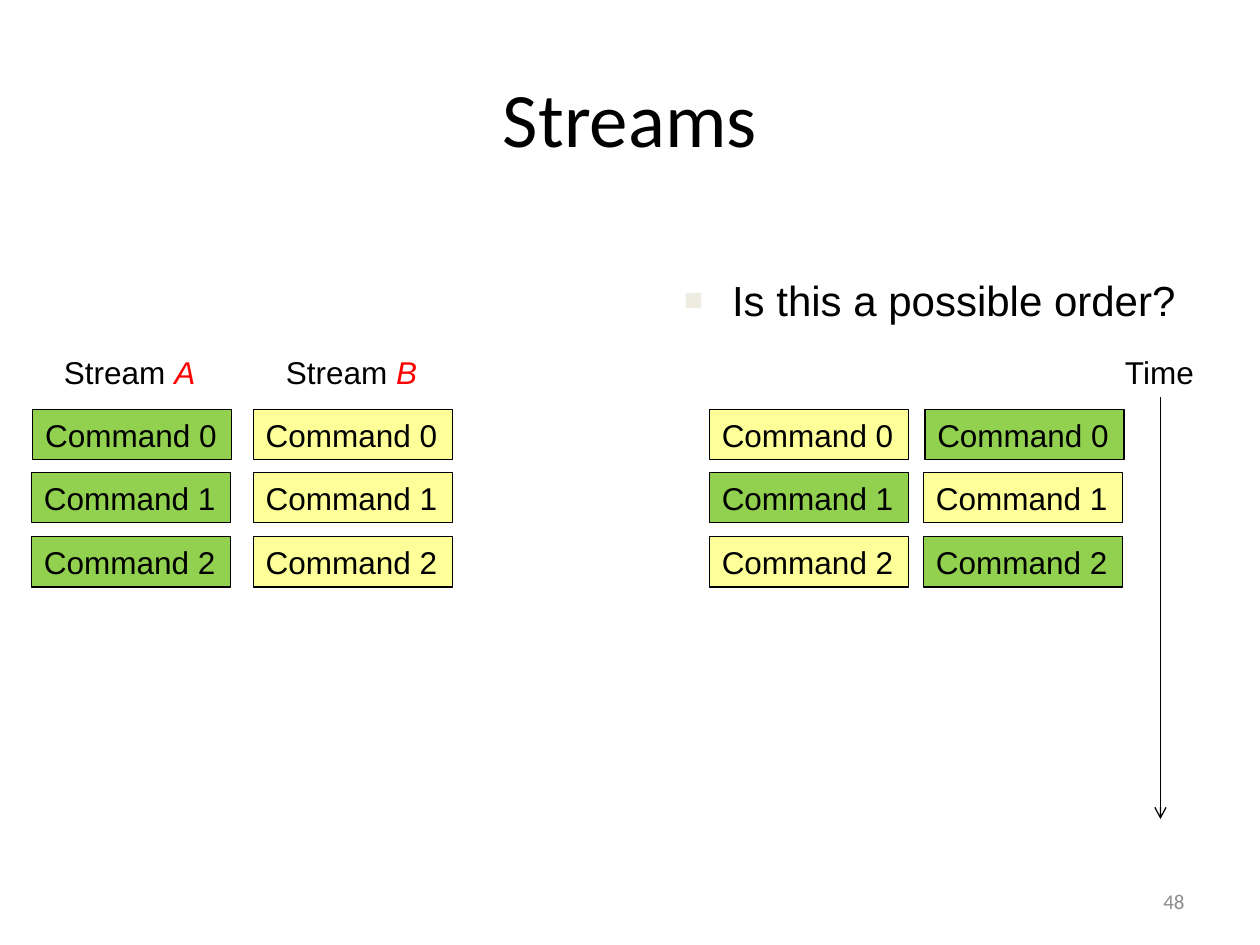
from lxml import etree
from pptx import Presentation
from pptx.dml.color import RGBColor
from pptx.enum.shapes import MSO_CONNECTOR, MSO_SHAPE
from pptx.enum.text import MSO_ANCHOR, PP_ALIGN
from pptx.oxml import parse_xml
from pptx.oxml.ns import nsdecls, qn
from pptx.util import Inches, Pt

BLACK = RGBColor(0x00, 0x00, 0x00)
RED = RGBColor(0xFF, 0x00, 0x00)
GRAY = RGBColor(0x8C, 0x8C, 0x8C)
GREEN = RGBColor(0x92, 0xD0, 0x50)
YELLOW = RGBColor(0xFF, 0xFF, 0x99)

ROW_TOPS = [3.25, 3.75, 4.26]
BOX_WIDTH, BOX_HEIGHT = 1.58, 0.4


def place(shape, left, top, width, height):
    shape.left, shape.top = Inches(left), Inches(top)
    shape.width, shape.height = Inches(width), Inches(height)


def format_run(run, size=18, name="Arial", color=BLACK):
    run.font.size = Pt(size)
    run.font.name = name
    run.font.color.rgb = color


presentation = Presentation()
presentation.slide_width = Inches(10)
presentation.slide_height = Inches(7.5)
slide = presentation.slides.add_slide(presentation.slide_layouts[1])

# Title and question
title = slide.shapes.title
place(title, 0.5, 0.3, 9, 1.25)
title.text_frame.text = "Streams"
format_run(title.text_frame.paragraphs[0].runs[0], 44, "Calibri")

question = slide.placeholders[1]
place(question, 5.33, 2.13, 4.17, 0.62)
question.text_frame.text = "Is this a possible order?"
paragraph = question.text_frame.paragraphs[0]
format_run(paragraph.runs[0], 24)
properties = paragraph._p.get_or_add_pPr()
properties.set("marL", str(Inches(0.38)))
properties.set("indent", str(Inches(-0.38)))
for bullet_xml in (
    '<a:buClr {}><a:srgbClr val="EEECE1"/></a:buClr>',
    '<a:buSzPct {} val="75000"/>',
    '<a:buFont {} typeface="Arial"/>',
    '<a:buChar {} char="■"/>',
):
    properties.append(parse_xml(bullet_xml.format(nsdecls("a"))))

# Command boxes: left edge and fill for each of the three rows
columns = [
    [(0.26, GREEN), (0.25, GREEN), (0.25, GREEN)],
    [(2.01, YELLOW)] * 3,
    [(5.63, YELLOW), (5.63, GREEN), (5.63, YELLOW)],
    [(7.34, GREEN), (7.33, YELLOW), (7.33, GREEN)],
]
for column in columns:
    for row, (left, fill) in enumerate(column):
        box = slide.shapes.add_shape(
            MSO_SHAPE.RECTANGLE, Inches(left), Inches(ROW_TOPS[row]),
            Inches(BOX_WIDTH), Inches(BOX_HEIGHT))
        box.shadow.inherit = False
        box.fill.solid()
        box.fill.fore_color.rgb = fill
        box.line.color.rgb = BLACK
        box.line.width = Pt(0.75)
        box.text_frame.word_wrap = False
        box.text_frame.text = f"Command {row}"
        paragraph = box.text_frame.paragraphs[0]
        paragraph.alignment = PP_ALIGN.LEFT
        format_run(paragraph.runs[0])

# Stream headings and time axis
for left, width, text, letter in [
    (0.41, 1.27, "Stream ", "A"),
    (2.17, 1.25, "Stream ", "B"),
    (8.83, 0.75, "Time", ""),
]:
    label = slide.shapes.add_textbox(
        Inches(left), Inches(2.75), Inches(width), Inches(0.4))
    label.text_frame.word_wrap = False
    label.text_frame.text = text
    paragraph = label.text_frame.paragraphs[0]
    format_run(paragraph.runs[0])
    if letter:
        run = paragraph.add_run()
        run.text = letter
        format_run(run, color=RED)
        run.font.italic = True

time_arrow = slide.shapes.add_connector(
    MSO_CONNECTOR.STRAIGHT, Inches(9.21), Inches(3.15), Inches(9.21), Inches(6.5))
time_arrow.line.color.rgb = BLACK
time_arrow.line.width = Pt(0.75)
etree.SubElement(time_arrow.line._get_or_add_ln(), qn("a:tailEnd"), type="arrow")
etree.SubElement(time_arrow._element.spPr, qn("a:effectLst"))

# Slide number
number = slide.shapes.add_textbox(
    Inches(7.17), Inches(6.95), Inches(2.33), Inches(0.4))
number.text_frame.word_wrap = True
number.text_frame.vertical_anchor = MSO_ANCHOR.MIDDLE
number.text_frame.text = "48"
paragraph = number.text_frame.paragraphs[0]
paragraph.alignment = PP_ALIGN.RIGHT
format_run(paragraph.runs[0], 12, "Calibri", GRAY)

presentation.save("out.pptx")
